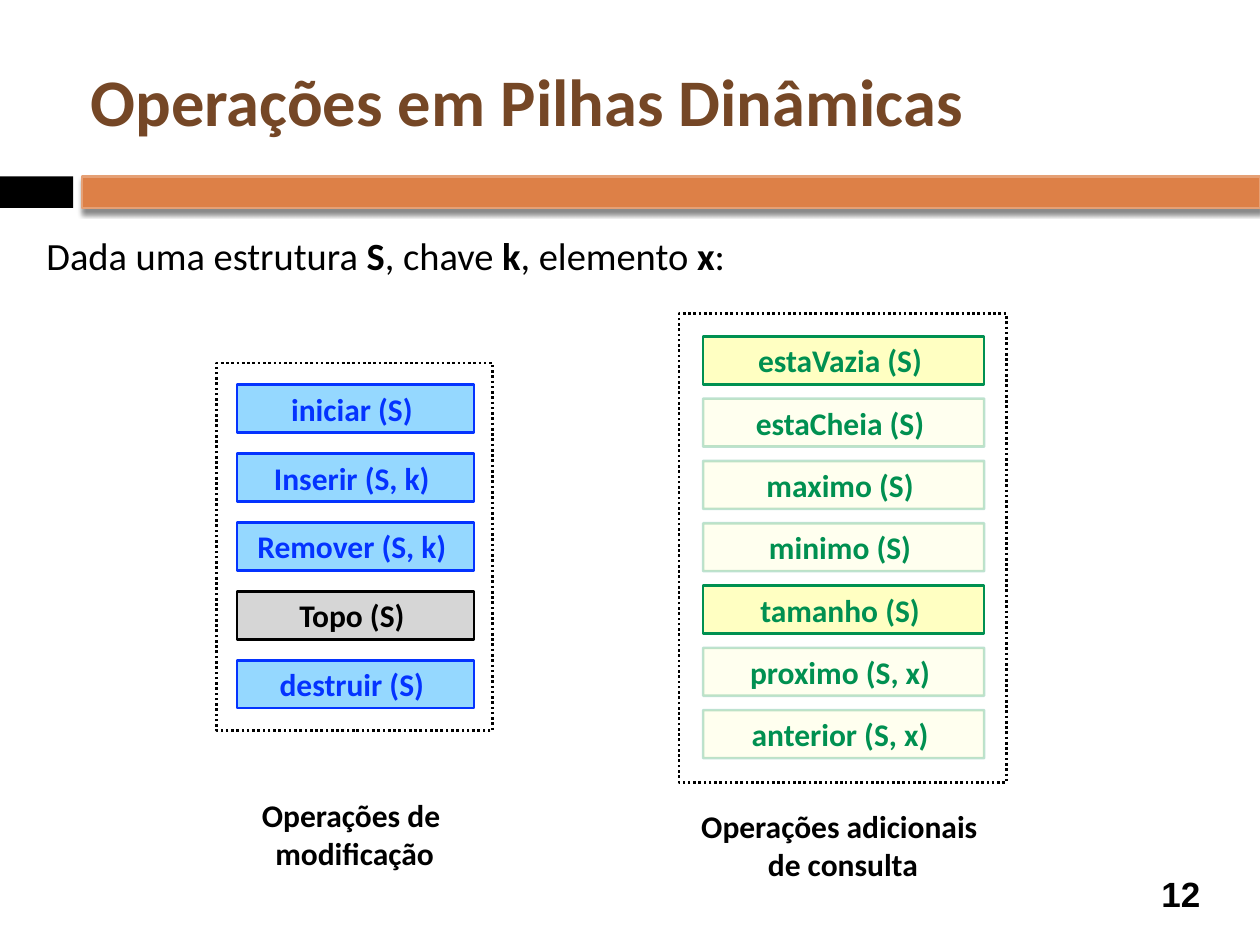
from lxml.etree import SubElement
from pptx import Presentation
from pptx.dml.color import RGBColor
from pptx.enum.dml import MSO_LINE
from pptx.enum.shapes import MSO_SHAPE
from pptx.enum.text import MSO_ANCHOR, PP_ALIGN
from pptx.oxml.ns import qn
from pptx.util import Pt

BLACK = RGBColor(0x00, 0x00, 0x00)
BROWN = RGBColor(0x75, 0x47, 0x26)
ORANGE = RGBColor(0xDD, 0x80, 0x47)
PEACH = RGBColor(0xE5, 0xA0, 0x75)
GREEN = RGBColor(0x00, 0x90, 0x51)
CREAM = RGBColor(0xFF, 0xFF, 0xC2)
BLUE = RGBColor(0x04, 0x33, 0xFF)
SKY = RGBColor(0x95, 0xD8, 0xFF)
GRAY = RGBColor(0xD6, 0xD6, 0xD6)

# Content
TITLE = "Operações em Pilhas Dinâmicas"
INTRO = [("Dada uma estrutura ", False), ("S", True), (", chave ", False),
         ("k", True), (", elemento ", False), ("x", True), (":", False)]
NUMBER = "12"
# Box styles: fill, ink, opacity in percent
STYLES = {"edit": (SKY, BLUE, 100), "top": (GRAY, BLACK, 100),
          "query": (CREAM, GREEN, 100), "faded": (CREAM, GREEN, 26)}
# Each group: frame, first box (left, top, width), step, boxes, caption
GROUPS = [
    {"frame": (123.8, 207.4, 157.7, 210.2), "first": (135.4, 219.7, 135.4),
     "step": 39.4,
     "ops": [("iniciar (S) ", "edit"), ("Inserir (S, k) ", "edit"),
             ("Remover (S, k) ", "edit"), ("Topo (S) ", "top"),
             ("destruir (S) ", "edit")],
     "label": (144.7, 451.4, 115.9, 45.4),
     "lines": ["Operações de ", "modificação"]},
    {"frame": (388.1, 179.3, 187.2, 267.8), "first": (401.8, 192.2, 160.6),
     "step": 35.6,
     "ops": [("estaVazia (S) ", "query"), ("estaCheia (S) ", "faded"),
             ("maximo (S) ", "faded"), ("minimo (S) ", "faded"),
             ("tamanho (S) ", "query"), ("proximo (S, x) ", "faded"),
             ("anterior (S, x) ", "faded")],
     "label": (394.6, 457.9, 174.2, 45.4),
     "lines": ["Operações adicionais ", "de consulta"]},
]
BOX_H = 27.4

deck = Presentation()
deck.slide_width, deck.slide_height = Pt(720), Pt(540)
slide = deck.slides.add_slide(deck.slide_layouts[5])
shapes = slide.shapes


def write(shape, lines, size, color=BLACK, align=PP_ALIGN.CENTER,
          anchor=MSO_ANCHOR.MIDDLE, font="Calibri", wrap=True):
    """Fill a shape with lines, each a list of (text, bold) runs."""
    frame = shape.text_frame
    frame.word_wrap = wrap
    frame.vertical_anchor = anchor
    frame.margin_left = frame.margin_right = Pt(3.6)
    frame.margin_top = frame.margin_bottom = Pt(3.6)
    for i, runs in enumerate(lines):
        para = frame.paragraphs[0] if i == 0 else frame.add_paragraph()
        para.alignment = align
        for text, bold in runs:
            run = para.add_run()
            run.text = text
            run.font.name, run.font.size, run.font.bold = font, Pt(size), bold
            run.font.color.rgb = color


def add_rect(at, fill=None, line=None, alpha=100):
    rect = shapes.add_shape(MSO_SHAPE.RECTANGLE, *map(Pt, at))
    rect.shadow.inherit = False
    if fill is None:
        rect.fill.background()
    else:
        rect.fill.solid()
        rect.fill.fore_color.rgb = fill
    if line is None:
        rect.line.fill.background()
    else:
        rect.line.color.rgb = line
        rect.line.width = Pt(1.5)
    if alpha < 100:
        for color in rect._element.spPr.iter(qn("a:srgbClr")):
            SubElement(color, qn("a:alpha"), val=str(alpha * 1000))
    return rect


def add_text(at, lines, size, **style):
    write(shapes.add_textbox(*map(Pt, at)), lines, size, **style)


# Header bars, the wide one with a soft shadow
add_rect((0, 100.8, 41.8, 18), BLACK)
bar = add_rect((46.8, 100.8, 673.2, 18), ORANGE, PEACH)
effects = bar._element.spPr.find(qn("a:effectLst"))
shadow = SubElement(effects, qn("a:outerShdw"), blurRad=str(Pt(3)),
                    dist=str(Pt(2.4)), dir="5400000", rotWithShape="0")
tint = SubElement(shadow, qn("a:srgbClr"), val="000000")
SubElement(tint, qn("a:alpha"), val="45000")

# Title, intro and slide number
title = shapes.title
title.left, title.top = Pt(48.2), Pt(18)
title.width, title.height = Pt(642.2), Pt(77.8)
write(title, [[(TITLE, True)]], 38, color=BROWN, align=PP_ALIGN.LEFT)
add_text((23, 129.2, 648, 45.4), [INTRO], 22, align=PP_ALIGN.LEFT,
         anchor=MSO_ANCHOR.TOP)
add_text((653.8, 496.1, 41.8, 29.5), [[(NUMBER, True)]], 20, font="Arial")

# Operation groups
for group in GROUPS:
    frame = add_rect(group["frame"], line=BLACK)
    frame.line.dash_style = MSO_LINE.ROUND_DOT
    left, top, width = group["first"]
    for i, (text, kind) in enumerate(group["ops"]):
        fill, ink, alpha = STYLES[kind]
        box = add_rect((left, top + i * group["step"], width, BOX_H),
                       fill, ink, alpha)
        write(box, [[(text, True)]], 18, color=ink)
    add_text(group["label"], [[(line, True)] for line in group["lines"]], 18,
             anchor=MSO_ANCHOR.TOP, wrap=False)

deck.save("out.pptx")
